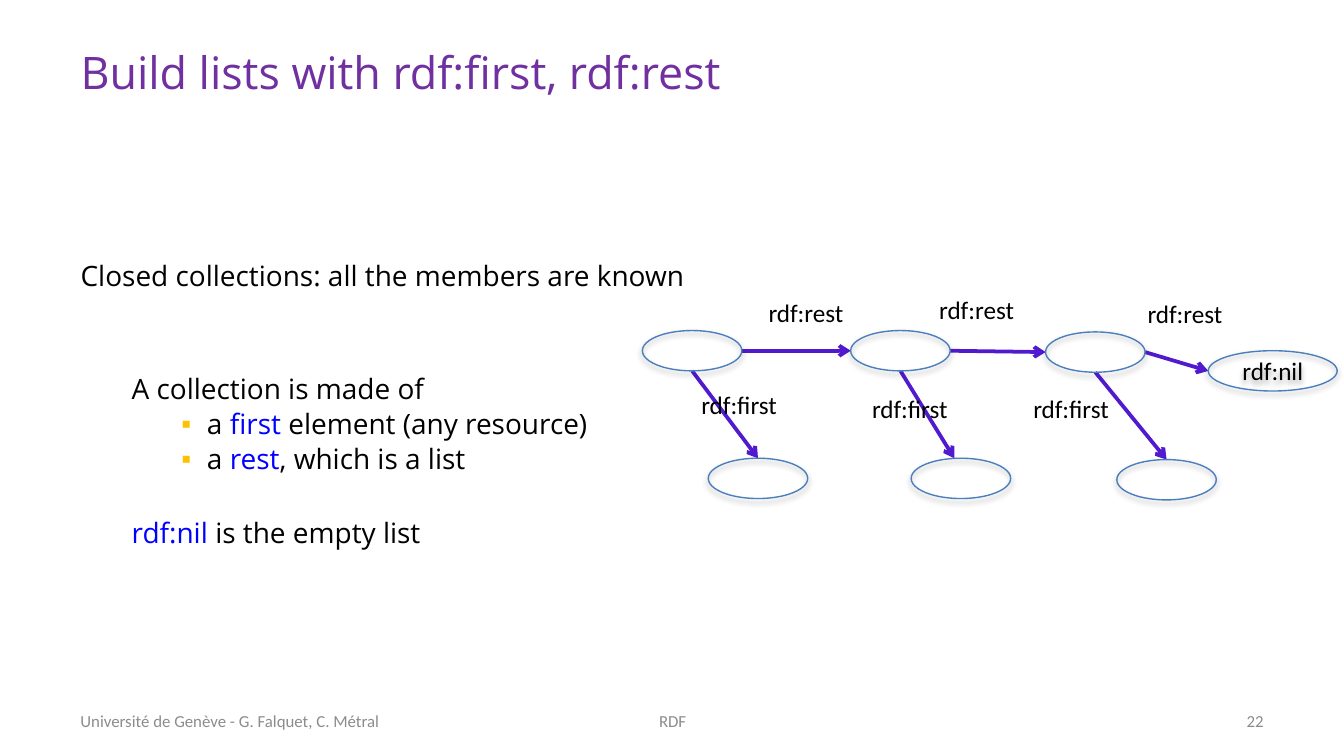
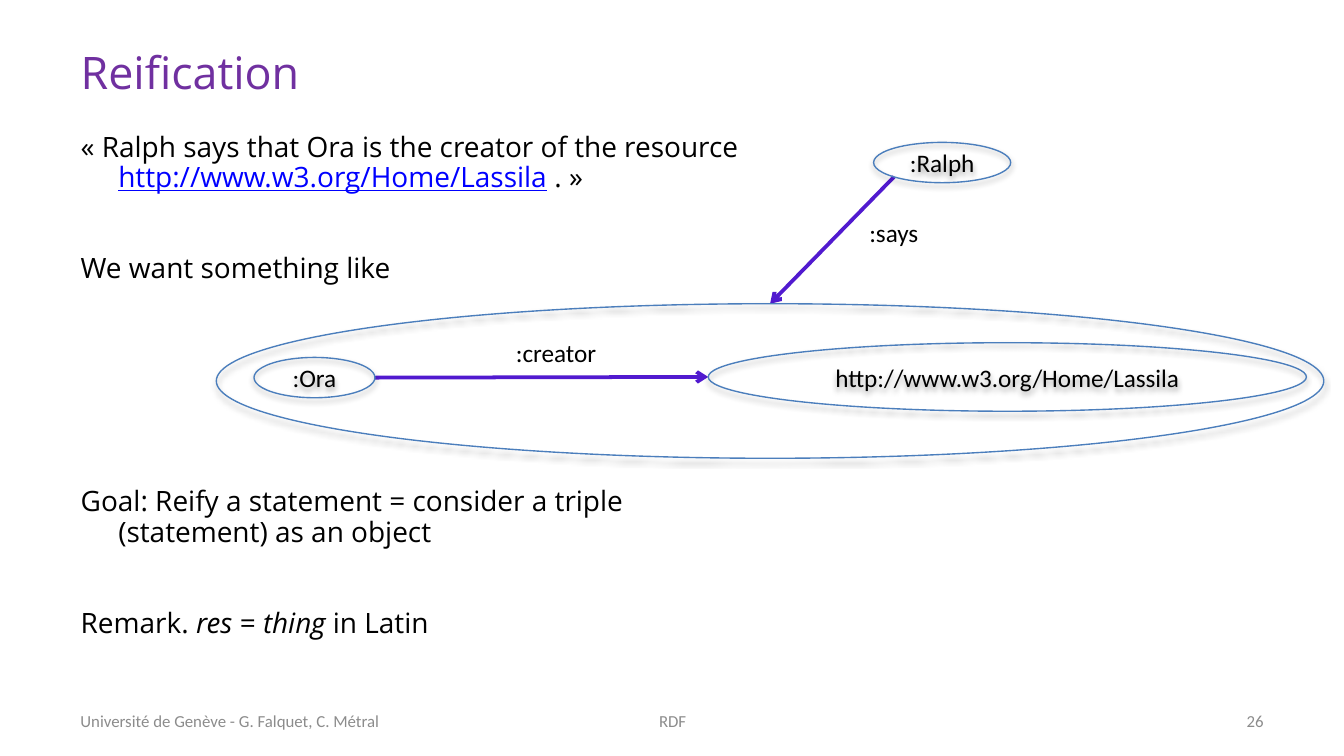
from collections import namedtuple

from lxml.etree import SubElement
from pptx import Presentation
from pptx.dml.color import RGBColor
from pptx.enum.shapes import MSO_CONNECTOR, MSO_SHAPE
from pptx.enum.text import MSO_ANCHOR as ANCHOR, MSO_AUTO_SIZE as AUTO, PP_ALIGN as ALIGN
from pptx.oxml.ns import qn
from pptx.util import Inches, Pt

# Shared look; lengths are grid units, 100 columns across the slide
C = {"title": "7030A0", "text": "000000", "key": "0000FF", "footer": "8C8C8C",
     "bullet": "FFC000", "arrow": "511ACF", "outline": "4B7EBC", "shadow": "000000"}
UNIT = 0.1
COLS, ROWS = 100, 56.25

Box = namedtuple("Box", "x y w h")
SLIDE = Box(0, 0, COLS, ROWS)
TITLE = Box(5, 2.3, 90, 6)
FOOTER = Box(5, 52.1, 90, 3)

TEXT = {"size": Pt(15), "name": "Open Sans", "color": C["text"]}
KEY = {"color": C["key"]}
LINK = {"color": C["key"], "underline": True}
EM = {"italic": True}
HEAD = {"size": Pt(24), "name": "Open Sans", "color": C["title"]}
LABEL = {"size": Pt(13.5), "name": "Calibri", "color": C["text"]}
SMALL = {"size": Pt(9), "name": "Calibri", "color": C["footer"]}

# Paragraph formats: level, left margin, first-line indent, bullet
PLAIN = (0, 0, 0, None)
HANGING = (0, 0.28, -0.28, None)
INDENTED = (1, 0.38, 0, None)
BULLETED = (2, 0.94, -0.19, "▪")


def within(box, x, y, w, h):
    """Box at a column and row of another box."""
    return Box(box.x + x, box.y + y, w, h)


def emu(*units):
    return [Inches(u * UNIT) for u in units]


def site(box, fx, fy):
    """Point at a share of a box's width and height."""
    return box.x + box.w * fx, box.y + box.h * fy


def top(box):
    return site(box, 0.5, 0)


def left(box):
    return site(box, 0, 0.5)


def bottom(box):
    return site(box, 0.5, 1)


def right(box):
    return site(box, 1, 0.5)


def lower_left(box):
    return site(box, 0.15, 0.85)


def set_all(obj, values):
    for name, value in values.items():
        setattr(obj, name, value)


def add_run(p, text, fmt):
    r = p.add_run()
    r.text = text
    for name, value in fmt.items():
        if name == "color":
            r.font.color.rgb = RGBColor.from_string(value)
        else:
            setattr(r.font, name, value)


def color_node(parent, color):
    return SubElement(parent, qn("a:srgbClr"), val=color)


# Text
def format_paragraph(p, style, before):
    level, margin, indent, bullet = style
    set_all(p, {"level": level, "line_spacing": 0.9, "alignment": ALIGN.LEFT,
                "space_before": Pt(before), "space_after": Pt(0)})
    pPr = p._p.get_or_add_pPr()
    pPr.set("marL", str(Inches(margin)))
    pPr.set("indent", str(Inches(indent)))
    if bullet:
        color_node(SubElement(pPr, qn("a:buClr")), C["bullet"])
        SubElement(pPr, qn("a:buChar"), char=bullet)
    else:
        SubElement(pPr, qn("a:buNone"))


def place(sp, box):
    sp.left, sp.top, sp.width, sp.height = emu(*box)


def add_title(slide, text):
    sp = slide.shapes.title
    place(sp, TITLE)
    tf = sp.text_frame
    set_all(tf, {"vertical_anchor": ANCHOR.MIDDLE, "auto_size": AUTO.NONE})
    p = tf.paragraphs[0]
    p.alignment = ALIGN.LEFT
    add_run(p, text, HEAD)


def add_body(slide, box, paragraphs, margin_bottom=0.05):
    sp = slide.placeholders[1]
    place(sp, box)
    tf = sp.text_frame
    set_all(tf, {"vertical_anchor": ANCHOR.MIDDLE, "auto_size": AUTO.NONE,
                 "margin_bottom": Inches(margin_bottom)})
    for i, (style, before, runs) in enumerate(paragraphs):
        p = tf.add_paragraph() if i else tf.paragraphs[0]
        format_paragraph(p, style, before)
        for text, fmt in runs:
            add_run(p, text, {**TEXT, **fmt})


def add_text(slide, box, text, fmt, align=ALIGN.LEFT, **frame):
    tf = slide.shapes.add_textbox(*emu(*box)).text_frame
    set_all(tf, {"word_wrap": True, **frame})
    p = tf.paragraphs[0]
    p.alignment = align
    add_run(p, text, fmt)


def add_label(slide, box, text):
    add_text(slide, box, text, LABEL, word_wrap=False, auto_size=AUTO.SHAPE_TO_FIT_TEXT)


def add_footer(slide, box, number):
    parts = [(0, 29.2, "Université de Genève - G. Falquet, C. Métral", ALIGN.LEFT),
             (29.2, 31.7, "RDF", ALIGN.CENTER),
             (66.7, 23.3, str(number), ALIGN.RIGHT)]
    for col, width, text, align in parts:
        add_text(slide, within(box, col, 0, width, box.h), text, SMALL, align,
                 vertical_anchor=ANCHOR.MIDDLE)


# Graph parts
def add_node(slide, box, text=None):
    sp = slide.shapes.add_shape(MSO_SHAPE.OVAL, *emu(*box))
    sp.fill.background()
    sp.line.color.rgb = RGBColor.from_string(C["outline"])
    sp.line.width = Pt(0.75)
    sp.shadow.inherit = False
    effects = sp._element.spPr.find(qn("a:effectLst"))
    shadow = SubElement(effects, qn("a:outerShdw"), blurRad=str(Pt(3.1)), dist=str(Pt(1.8)),
                        dir="5400000", rotWithShape="0")
    SubElement(color_node(shadow, C["shadow"]), qn("a:alpha"), val="35000")
    if text:
        tf = sp.text_frame
        set_all(tf, {"vertical_anchor": ANCHOR.MIDDLE, "word_wrap": True})
        p = tf.paragraphs[0]
        p.alignment = ALIGN.CENTER
        add_run(p, text, LABEL)


def add_arrow(slide, start, end):
    cx = slide.shapes.add_connector(MSO_CONNECTOR.STRAIGHT, *emu(*start, *end))
    cx.line.color.rgb = RGBColor.from_string(C["arrow"])
    cx.line.width = Pt(2)
    spPr = cx._element.spPr
    SubElement(spPr.find(qn("a:ln")), qn("a:tailEnd"), type="arrow")
    SubElement(spPr, qn("a:effectLst"))


def draw_list_graph(slide, box):
    """Chain of list cells, each pointing at its first element and its rest."""
    # cell, member, arrow tip column, rest label, first label
    links = [((0, 3.2), (4.9, 12.7), 8.6, (8.4, 0.2), (3.4, 7.1)),
             ((15.5, 3.2), (20, 12.7), 23.2, (21.1, 0), (16.1, 7.4)),
             ((30, 3.3), (35.3, 12.8), 39, (36.6, 0.3), (28.1, 7.4))]
    size, label_size = (7.4, 3), (7.7, 3.3)
    nil = within(box, 42.1, 4.7, 9.6, 3)
    cells = [within(box, *cell, *size) for cell, *_ in links] + [nil]
    for i, (_, member_at, tip, rest_at, first_at) in enumerate(links):
        member = within(box, *member_at, *size)
        add_arrow(slide, bottom(cells[i]), (box.x + tip, member.y))
        add_arrow(slide, right(cells[i]), left(cells[i + 1]))
        add_label(slide, within(box, *first_at, *label_size), "rdf:first")
        add_label(slide, within(box, *rest_at, *label_size), "rdf:rest")
        add_node(slide, cells[i])
        add_node(slide, member)
    add_node(slide, nil, "rdf:nil")


def draw_statement_graph(slide, box):
    """A triple enclosed as one node that another triple refers to."""
    statement = within(box, 0, 12, box.w, 11.5)
    ora = within(box, 2.8, 16, 9, 3)
    page = within(box, 36.6, 14.9, 44.5, 5.1)
    ralph = within(box, 48.9, 0, 10.2, 3)
    add_arrow(slide, right(ora), left(page))
    add_arrow(slide, lower_left(ralph), top(statement))
    for node, text in [(page, "http://www.w3.org/Home/Lassila"), (ralph, ":Ralph"),
                       (ora, ":Ora"), (statement, None)]:
        add_node(slide, node, text)
    add_label(slide, within(box, 21.3, 14, 8.1, 3.3), ":creator")
    add_label(slide, within(box, 47.6, 5.1, 5.7, 3.3), ":says")


# Slides
def start_slide(prs, title, number):
    slide = prs.slides.add_slide(prs.slide_layouts[1])
    add_title(slide, title)
    add_footer(slide, FOOTER, number)
    return slide


def build_lists(prs):
    slide = start_slide(prs, "Build lists with rdf:first, rdf:rest", 22)
    add_body(slide, within(SLIDE, 5, 10.2, 59.9, 40), [
        (PLAIN, 0, [("Closed collections: all the members are known", {})]),
        (INDENTED, 44.3, [("A collection is made of", {})]),
        (BULLETED, 2.7, [("a ", {}), ("first ", KEY), ("element (any resource)", {})]),
        (BULLETED, 2.7, [("a ", {}), ("rest", KEY), (", which is a list", {})]),
        (INDENTED, 23.4, [("rdf:nil", KEY), (" is the empty list", {})]),
    ])
    draw_list_graph(slide, within(SLIDE, 47.8, 21.4, 51.7, 15.8))


def build_reification(prs):
    slide = start_slide(prs, "Reification", 26)
    add_body(slide, within(SLIDE, 5, 10.2, 52.8, 40), [
        (HANGING, 0, [("« Ralph says that Ora is the creator of the resource ", {}),
                      ("http://www.w3.org/Home/Lassila", LINK), (" . »", {})]),
        (HANGING, 32.7, [("We want something like", {})]),
        (HANGING, 108.6, [("Goal: Reify a statement = consider a triple "
                           "(statement) as an object", {})]),
        (HANGING, 32.7, [("Remark. ", {}), ("res", EM), (" = ", {}), ("thing", EM),
                         (" in Latin", {})]),
    ], margin_bottom=0.34)
    draw_statement_graph(slide, within(SLIDE, 16.1, 10.6, 82.4, 23.5))


def main():
    prs = Presentation()
    prs.slide_width, prs.slide_height = emu(COLS, ROWS)
    build_lists(prs)
    build_reification(prs)
    prs.save("out.pptx")


if __name__ == "__main__":
    main()
